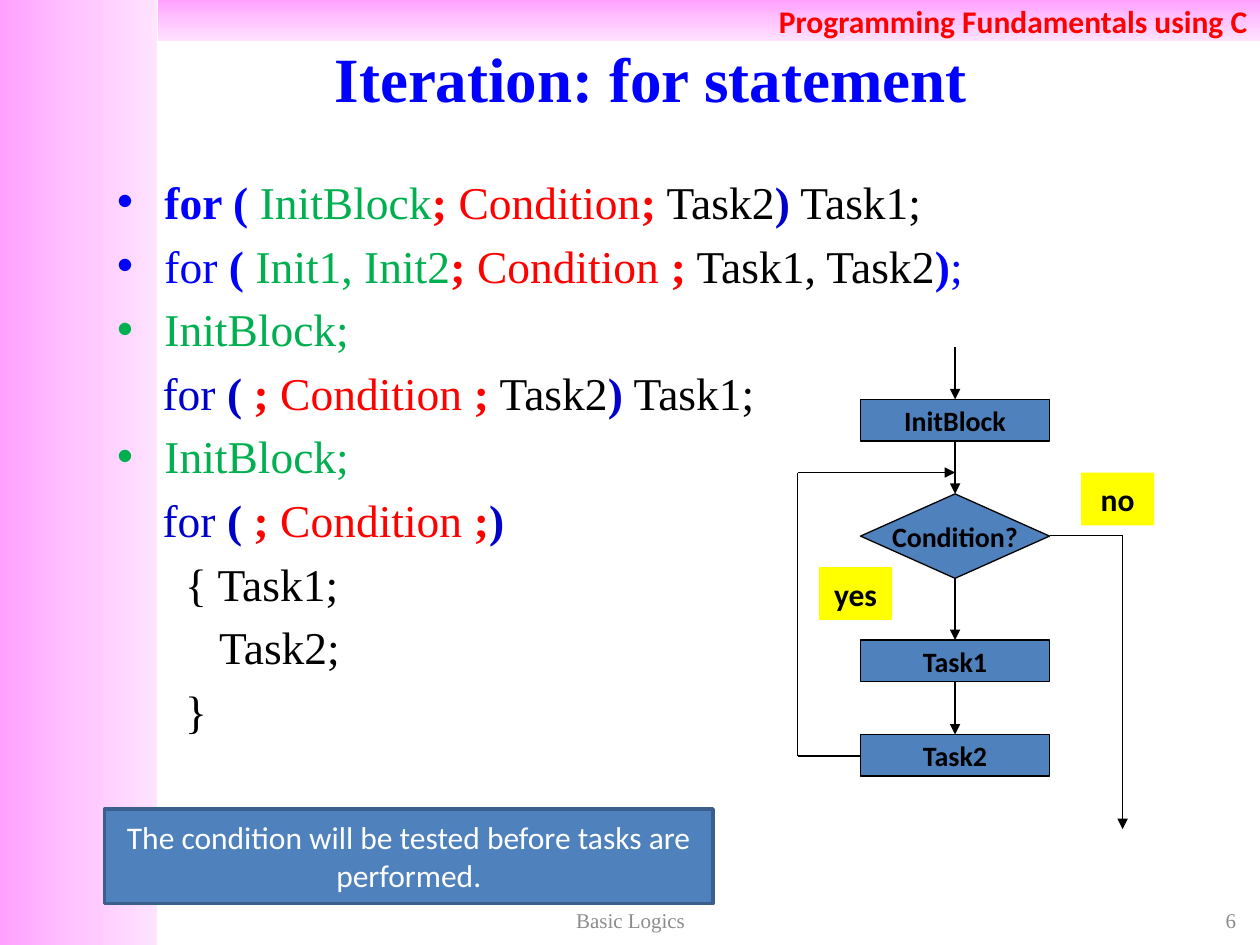
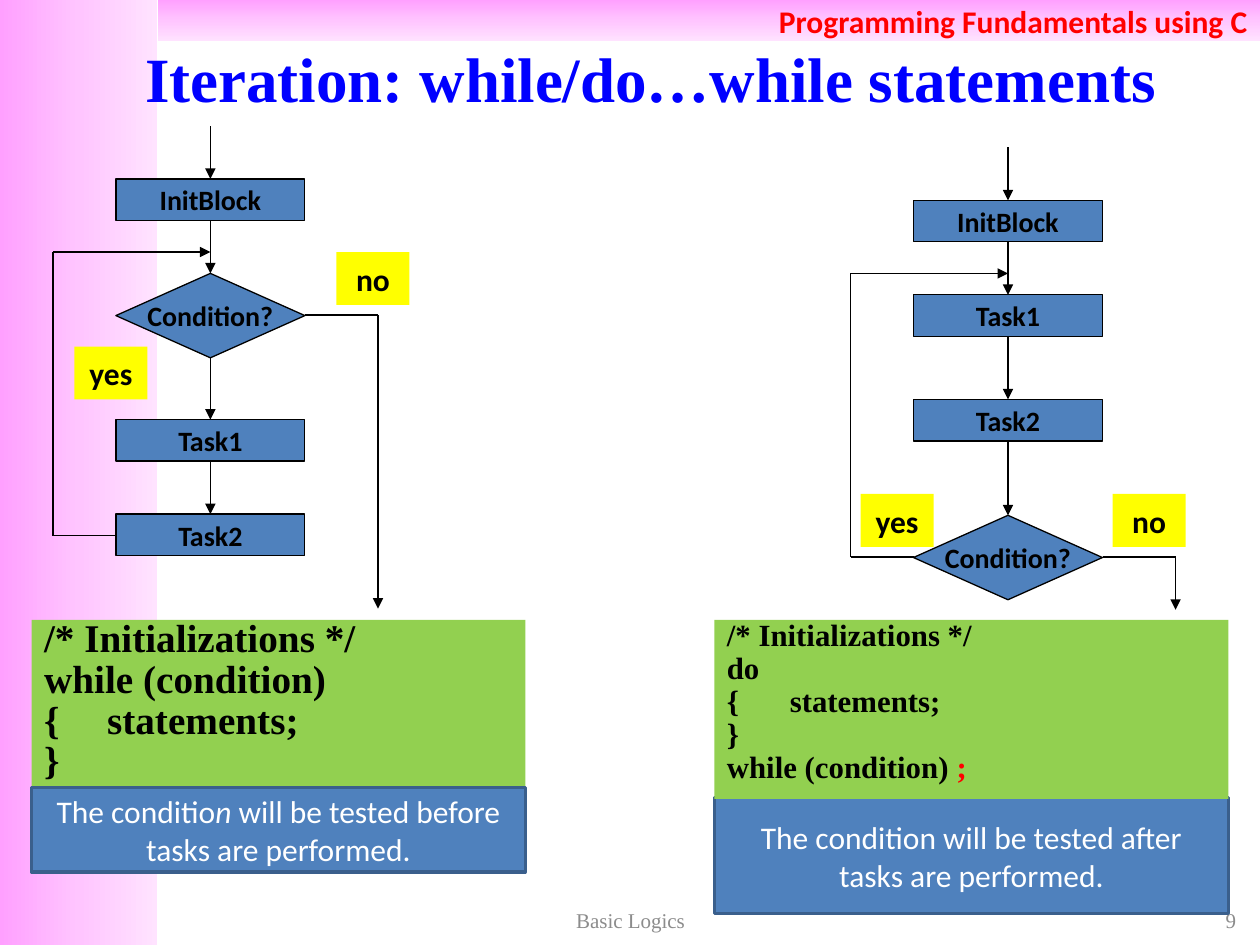
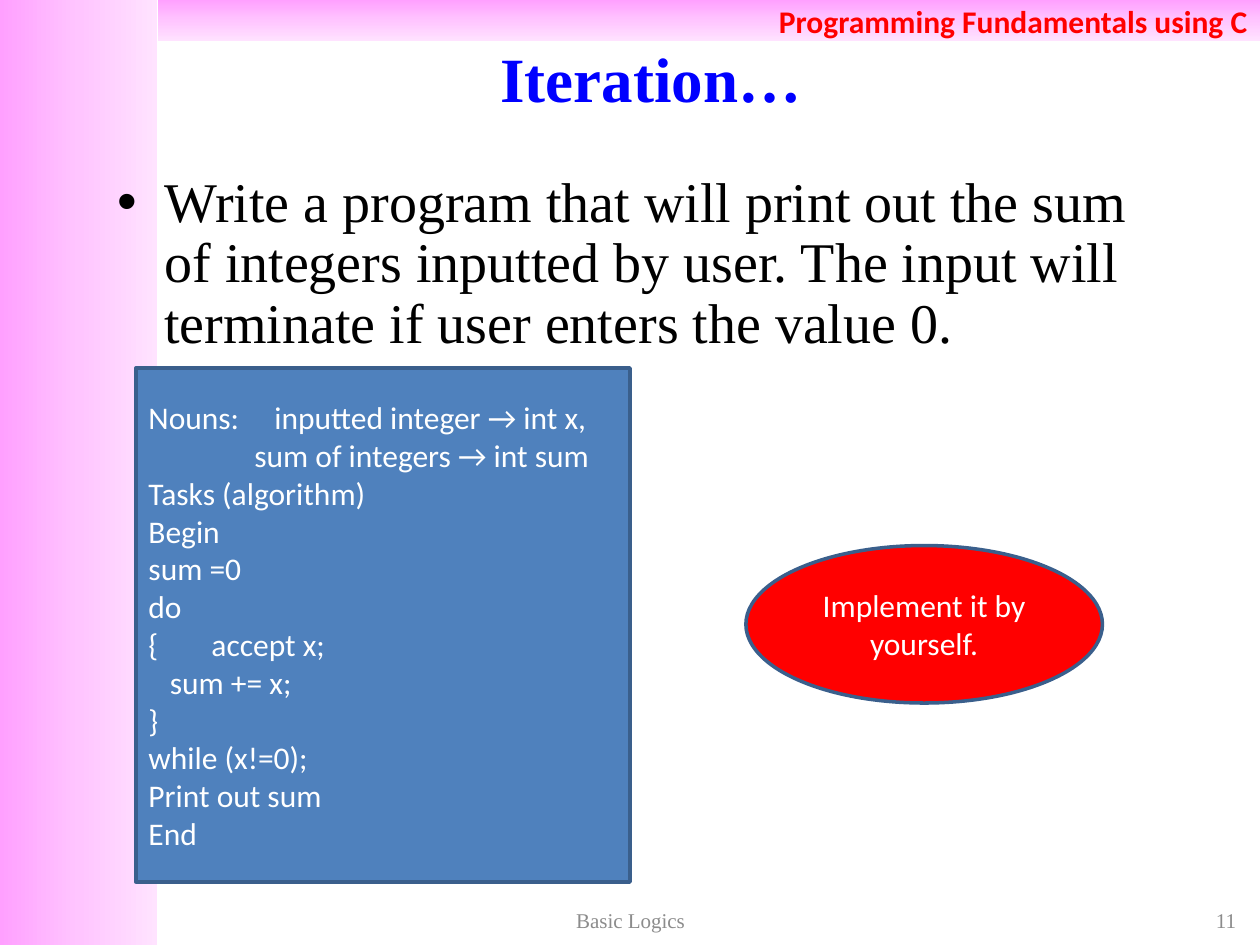
from copy import deepcopy

from lxml import etree
from pptx import Presentation
from pptx.dml.color import RGBColor
from pptx.enum.shapes import MSO_CONNECTOR, MSO_SHAPE
from pptx.enum.text import MSO_ANCHOR, MSO_AUTO_SIZE, PP_ALIGN
from pptx.oxml.ns import qn
from pptx.util import Inches, Pt

RECTANGLE, OVAL = MSO_SHAPE.RECTANGLE, MSO_SHAPE.OVAL
DECISION = MSO_SHAPE.FLOWCHART_DECISION
STRAIGHT = MSO_CONNECTOR.STRAIGHT
LEFT, CENTER, RIGHT = PP_ALIGN.LEFT, PP_ALIGN.CENTER, PP_ALIGN.RIGHT
TOP, MIDDLE = MSO_ANCHOR.TOP, MSO_ANCHOR.MIDDLE
NO_FIT = MSO_AUTO_SIZE.NONE


class Theme:
    serif, sans = "Times New Roman", "Calibri"
    black, white, gray = "000000", "FFFFFF", "8C8C8C"
    blue, dark_blue, red, green = "0000FF", "0000CC", "FF0000", "00B050"
    block, border, lime, yellow = "4F81BD", "3A5F8C", "92D050", "FFFF00"
    gradient = [(0, "FFA0FF"), (0.5, "FFC5FF"), (1, "FFE3FF")]
    title_size, task_size, list_size = 36, 32, 26
    while_size, do_size = 22.4, 17.6
    note_size, node_size, footer_size = 18, 16, 12
    thin, thick = 0.75, 2


def write(box, paras, size=Theme.note_size, font=Theme.sans, color=Theme.white,
          bold=False, italic=False, align=CENTER, anchor=MIDDLE, wrap=True,
          line_spacing=None, space_before=None, indents={}, tabs={}):
    base = dict(color=color, bold=bold, italic=italic)
    frame = box.text_frame
    frame.word_wrap = wrap
    frame.auto_size = NO_FIT
    frame.vertical_anchor = anchor
    for index, spans in enumerate(paras):
        para = frame.add_paragraph() if index else frame.paragraphs[0]
        para.alignment = align
        if line_spacing:
            para.line_spacing = line_spacing
        if space_before:
            para.space_before = Pt(space_before)
        if index in indents:
            layout = para._p.get_or_add_pPr()
            layout.set("marL", str(Inches(indents[index])))
            layout.set("indent", "0")
            etree.SubElement(layout, qn("a:buNone"))
            if index in tabs:
                stops = etree.SubElement(layout, qn("a:tabLst"))
                etree.SubElement(stops, qn("a:tab"), pos=str(Inches(tabs[index])), algn="l")
        for text, changes in [(spans, {})] if isinstance(spans, str) else spans:
            look = {**base, **changes}
            span = para.add_run()
            span.text = text
            span.font.name = font
            span.font.size = Pt(size)
            span.font.bold = look["bold"]
            span.font.italic = look["italic"]
            span.font.color.rgb = RGBColor.from_string(look["color"])


def add_block(shapes, kind, place, fill, line=None, width=Theme.thin):
    block = shapes.add_shape(kind, *map(Inches, place))
    block.shadow.inherit = False
    block.fill.solid()
    block.fill.fore_color.rgb = RGBColor.from_string(fill)
    if line:
        block.line.color.rgb = RGBColor.from_string(line)
        block.line.width = Pt(width)
    else:
        block.line.fill.background()
    return block


deck = Presentation()
deck.slide_width, deck.slide_height = Inches(10), Inches(7.5)

headings = [
    ("Iteration: for statement", "6", (0.83, 1.33, 7.17, 5.37)),
    ("Iteration: while/do…while statements", "9", (0.25, 4.92, 3.92, 1.5)),
    ("Iteration…", "11", (0.83, 1.33, 8.67, 1.58)),
]
pages, bodies = [], []
for heading, number, body_place in headings:
    page = deck.slides.add_slide(deck.slide_layouts[1])
    title, body = page.shapes.title, page.placeholders[1]
    for box, place in [(title, (0.83, 0.3, 8.67, 0.62)), (body, body_place)]:
        box.left, box.top, box.width, box.height = map(Inches, place)
    write(title, [heading], size=Theme.title_size, font=Theme.serif,
          color=Theme.blue, bold=True)
    for text, place, align in [(number, (7.58, 7.17, 2.33, 0.27), RIGHT),
                               ("Basic Logics", (3.42, 7.17, 3.17, 0.27), CENTER)]:
        footer = page.shapes.add_textbox(*map(Inches, place))
        write(footer, [text], size=Theme.footer_size, font=Theme.serif,
              color=Theme.gray, align=align)
    pages.append(page)
    bodies.append(body)

bands = [((0, 0, 1.25, 7.5), 0, ""),
         ((1.25, 0, 8.75, 0.33), 270, "Programming Fundamentals using C")]
for index, (place, angle, text) in enumerate(bands):
    band = add_block(pages[0].shapes, RECTANGLE, place, Theme.white)
    band.fill.gradient()
    band.fill.gradient_angle = angle
    stop_list = band.element.spPr.find(".//" + qn("a:gsLst"))
    stop_list.insert(1, deepcopy(stop_list[0]))
    for stop, (position, color) in zip(band.fill.gradient_stops, Theme.gradient):
        stop.position = position
        stop.color.rgb = RGBColor.from_string(color)
    if text:
        write(band, [text], color=Theme.red, bold=True, align=RIGHT)
    band.element.nvSpPr.cNvPr.set("id", str(20 + index))
    deck.slide_master.shapes.element.insert(2 + index, band.element)

blue, blue_bold = dict(color=Theme.blue), dict(color=Theme.blue, bold=True)
dark, dark_bold = dict(color=Theme.dark_blue), dict(color=Theme.dark_blue, bold=True)
red, red_bold = dict(color=Theme.red), dict(color=Theme.red, bold=True)
green, plain = dict(color=Theme.green), {}
for_open = [("for ", dark), ("( ", dark_bold), ("; ", red_bold),
            ("Condition ", red), (";", red_bold)]
for_forms = [
    [("for ( ", blue_bold), ("InitBlock", green), ("; ", red_bold), ("Condition", red),
     (";", red_bold), (" Task2", plain), (")", dark_bold), (" Task1;", plain)],
    [("for ", blue), ("( ", blue_bold), ("Init1, Init2", green), ("; ", red_bold),
     ("Condition ", red), (";", red_bold), (" Task1, Task2", plain),
     (")", blue_bold), (";", blue)],
    [("InitBlock;", green)],
    for_open + [(" Task2", plain), (")", dark_bold), (" Task1;", plain)],
    [("InitBlock;", green)],
    for_open + [(")", dark_bold)],
    "{ Task1;",
    "Task2;",
    "}",
]
write(bodies[0], for_forms, size=Theme.list_size, font=Theme.serif, color=Theme.black,
      align=LEFT, anchor=TOP, indents={3: 0.36, 5: 0.36, 6: 0.54, 7: 0.81, 8: 0.54})

bodies[1].fill.solid()
bodies[1].fill.fore_color.rgb = RGBColor.from_string(Theme.lime)
while_code = ["/* Initializations */", "while (condition)", "{\tstatements;", "}"]
write(bodies[1], while_code, size=Theme.while_size, font=Theme.serif, color=Theme.black,
      bold=True, align=LEFT, anchor=TOP, line_spacing=0.7,
      indents=dict.fromkeys(range(4), 0), tabs={2: 0.36})

task = ("Write a program that will print out the sum of integers inputted by user. "
        "The input will terminate if user enters the value 0.")
write(bodies[2], [task], size=Theme.task_size, font=Theme.serif, color=Theme.black,
      align=LEFT, anchor=TOP, line_spacing=0.9)

pre_test = [("InitBlock", 0.42), ("Condition?", 1.17), ("Task1", 2.33), ("Task2", 3.08)]
post_test = [("InitBlock", 0.42), ("Task1", 1.17), ("Task2", 2), ("Condition?", 2.92)]
pre_answers = [("yes", -1.08, 1.75), ("no", 1, 1)]
post_answers = [("yes", -1.17, 2.75), ("no", 0.83, 2.75)]
flowcharts = [
    (pages[0], 7.58, 2.75, pre_test, pre_answers, 1.5, 3.83),
    (pages[1], 1.67, 1, pre_test, pre_answers, 1.5, 3.83),
    (pages[1], 8, 1.17, post_test, post_answers, 3.25, 3.67),
]
for page, axis, start, nodes, answers, exit_top, exit_end in flowcharts:
    shapes = page.shapes.add_group_shape().shapes
    routes = []
    previous_bottom = 0
    for label, offset in nodes:
        kind, height = (DECISION, 0.67) if label == "Condition?" else (RECTANGLE, 0.33)
        node = add_block(shapes, kind, (axis - 0.75, start + offset, 1.5, height),
                         Theme.block, Theme.black)
        write(node, [label], size=Theme.node_size, color=Theme.black, bold=True, wrap=False)
        routes.append([(0, previous_bottom), (0, offset)])
        previous_bottom = offset + height
    for label, across, down in answers:
        answer = add_block(shapes, RECTANGLE, (axis + across, start + down, 0.58, 0.42),
                           Theme.yellow)
        write(answer, [label], color=Theme.black, bold=True, wrap=False)
    routes.append([(-0.75, 3.25), (-1.25, 3.25), (-1.25, 1), (0, 1)])
    routes.append([(0.75, exit_top), (1.33, exit_top), (1.33, exit_end)])
    for route in routes:
        for begin, end in zip(route, route[1:]):
            line = shapes.add_connector(
                STRAIGHT, Inches(axis + begin[0]), Inches(start + begin[1]),
                Inches(axis + end[0]), Inches(start + end[1]))
            line.line.color.rgb = RGBColor.from_string(Theme.black)
            line.line.width = Pt(Theme.thin)
            properties = line.element.spPr
            if end == route[-1]:
                etree.SubElement(properties.find(qn("a:ln")), qn("a:tailEnd"), type="triangle")
            etree.SubElement(properties, qn("a:effectLst"))

tested_before = "The condition will be tested before tasks are performed."
tested_after = "The condition will be tested after tasks are performed."
tested_before_italic = [("The conditio", {}), ("n ", dict(italic=True)),
                        ("will be tested before tasks are performed.", {})]
notes = [
    (pages[0], RECTANGLE, (0.83, 6.42, 4.83, 0.75), Theme.block, tested_before),
    (pages[1], RECTANGLE, (0.25, 6.25, 3.92, 0.67), Theme.block, tested_before_italic),
    (pages[1], RECTANGLE, (5.67, 6.33, 4.08, 0.92), Theme.block, tested_after),
    (pages[2], OVAL, (5.92, 4.33, 2.83, 1.25), Theme.red, "Implement it by yourself."),
]
for page, kind, place, fill, text in notes:
    note = add_block(page.shapes, kind, place, fill, Theme.border, Theme.thick)
    write(note, [text])

do_code = ["/* Initializations */", "do", "{\tstatements;", "}",
           [("while (condition) ", {}), (";", red)]]
do_box = add_block(pages[1].shapes, RECTANGLE, (5.67, 4.92, 4.08, 1.42), Theme.lime)
write(do_box, do_code, size=Theme.do_size, font=Theme.serif, color=Theme.black, bold=True,
      align=LEFT, anchor=TOP, line_spacing=0.7, space_before=4,
      indents={2: 0}, tabs={2: 0.28})

algorithm = ["Nouns:\tinputted integer → int x,", "sum of integers → int sum",
             "Tasks (algorithm)", "Begin", "sum =0", "do", "{\taccept x;", "sum += x;",
             "}", "while (x!=0);", "Print out sum", "End"]
algorithm_box = add_block(pages[2].shapes, RECTANGLE, (1.08, 2.92, 3.92, 4.08),
                          Theme.block, Theme.border, Theme.thick)
write(algorithm_box, algorithm, align=LEFT, indents={0: 0, 1: 0.84, 6: 0, 7: 0.17},
      tabs={0: 0.84, 6: 0.19})

deck.save("out.pptx")
